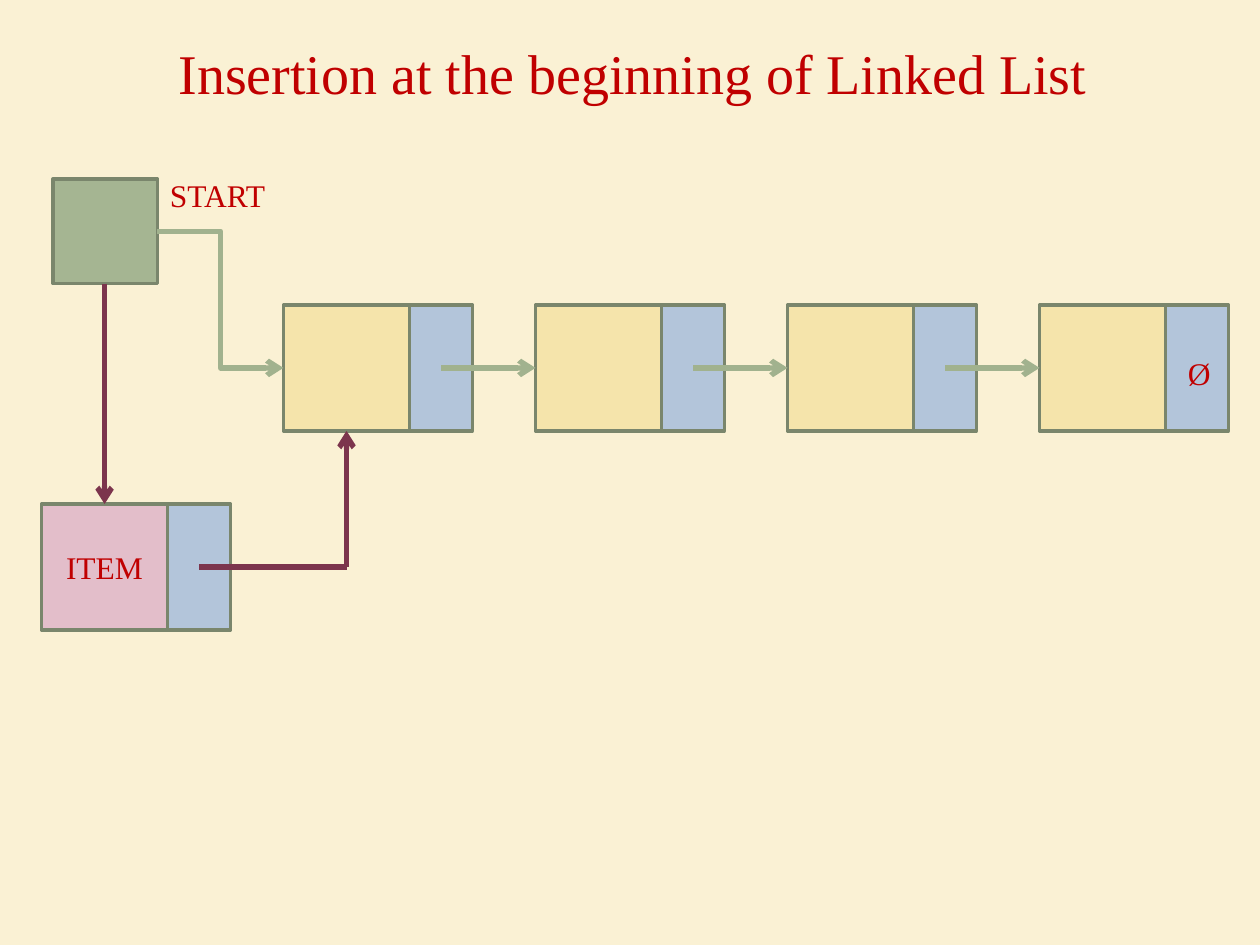
from dataclasses import dataclass

from lxml.etree import SubElement
from pptx import Presentation
from pptx.dml.color import RGBColor as RGB
from pptx.enum.shapes import MSO_CONNECTOR as LINK, MSO_SHAPE as SHAPE
from pptx.enum.text import MSO_ANCHOR as ANCHOR, PP_ALIGN as ALIGN
from pptx.oxml.ns import qn
from pptx.util import Inches, Pt


@dataclass(frozen=True)
class Theme:
    back: str = "FAF1D4"
    text: str = "C00000"
    edge: str = "7A866C"
    start: str = "A5B592"
    data: str = "F5E4AB"
    item: str = "E3BECA"
    next: str = "B3C5DA"
    link: str = "A1B28E"
    change: str = "7C354D"
    font: str = "Times New Roman"
    title: int = 32
    label: int = 18
    border: int = 2
    arrow: int = 3


THEME = Theme()
DATA, NEXT = 1, 0.5  # widths of the two fields of a node
HIGH = 1
STEP = 2  # distance from one node to the next
SIDE = 0.83  # side of the START box


def put_text(shape, text, size=THEME.label, align=ALIGN.LEFT,
             anchor=ANCHOR.TOP, wrap=True):
    frame = shape.text_frame
    frame.word_wrap = wrap
    frame.vertical_anchor = anchor
    para = frame.paragraphs[0]
    para.alignment = align
    run = para.add_run()
    run.text = text
    run.font.name = THEME.font
    run.font.size = Pt(size)
    run.font.color.rgb = RGB.from_string(THEME.text)


def add_label(slide, text, x, y, w, h, **style):
    box = slide.shapes.add_textbox(Inches(x), Inches(y), Inches(w), Inches(h))
    put_text(box, text, **style)


def add_box(slide, x, y, w, h, fill):
    box = slide.shapes.add_shape(
        SHAPE.RECTANGLE, Inches(x), Inches(y), Inches(w), Inches(h))
    box.shadow.inherit = False
    box.fill.solid()
    box.fill.fore_color.rgb = RGB.from_string(fill)
    box.line.color.rgb = RGB.from_string(THEME.edge)
    box.line.width = Pt(THEME.border)
    return box


def add_node(slide, x, y, fill=THEME.data):
    """Draw a node with its data and next fields; return the data field."""
    data = add_box(slide, x, y, DATA, HIGH, fill)
    add_box(slide, x + DATA, y, NEXT, HIGH, THEME.next)
    return data


def add_link(slide, start, end, color=THEME.link, kind=LINK.STRAIGHT,
             head=True):
    link = slide.shapes.add_connector(
        kind, *(Inches(value) for value in (*start, *end)))
    link.line.color.rgb = RGB.from_string(color)
    link.line.width = Pt(THEME.arrow)
    props = link._element.spPr
    if head:
        SubElement(props.find(qn("a:ln")), qn("a:tailEnd"), type="arrow")
    SubElement(props, qn("a:effectLst"))


def main():
    deck = Presentation()
    deck.slide_width, deck.slide_height = Inches(10), Inches(7.5)
    slide = deck.slides.add_slide(deck.slide_layouts[6])
    slide.background.fill.solid()
    slide.background.fill.fore_color.rgb = RGB.from_string(THEME.back)

    add_label(slide, "Insertion at the beginning of Linked List",
              0.55, 0, 8.95, 1.15, size=THEME.title,
              align=ALIGN.CENTER, anchor=ANCHOR.MIDDLE)

    # The list as it stands
    left, top = 2.25, 2.42
    mid = top + HIGH / 2
    nodes = [left + STEP * i for i in range(4)]
    for x in nodes:
        add_node(slide, x, top)
    for x in nodes[:-1]:
        add_link(slide, (x + DATA + NEXT / 2, mid), (x + STEP, mid))
    add_label(slide, "Ø", 9.33, 2.76, 0.38, 0.4, wrap=False)

    # The start pointer
    x, y = 0.42, 1.42
    add_box(slide, x, y, SIDE, SIDE, THEME.start)
    add_label(slide, "START", x + SIDE, 1.35, 0.97, 0.4, wrap=False)
    add_link(slide, (x + SIDE, y + SIDE / 2), (left, mid), kind=LINK.ELBOW)

    # The new node and its links
    new_x, new_y = 0.33, 4
    item = add_node(slide, new_x, new_y, THEME.item)
    put_text(item, "ITEM", align=ALIGN.CENTER, anchor=ANCHOR.MIDDLE)
    pivot = new_x + DATA / 2
    add_link(slide, (pivot, y + SIDE), (pivot, new_y), THEME.change)
    corner = (left + DATA / 2, new_y + HIGH / 2)
    add_link(slide, corner, (corner[0], top + HIGH), THEME.change)
    add_link(slide, (new_x + DATA + NEXT / 2, corner[1]), corner,
             THEME.change, head=False)

    deck.save("out.pptx")


if __name__ == "__main__":
    main()
